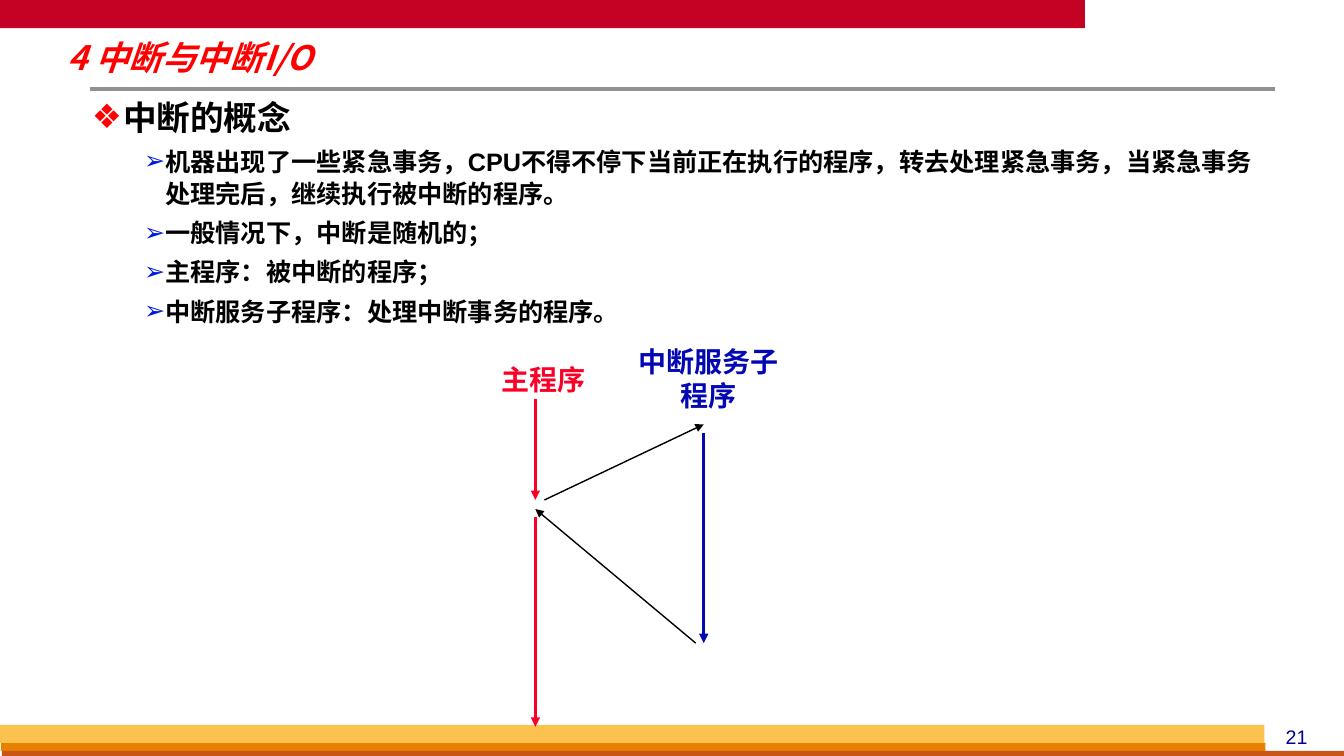
from dataclasses import dataclass

import lxml.etree
import pptx
import pptx.dml.color
import pptx.enum.lang
import pptx.enum.shapes
import pptx.enum.text
import pptx.oxml.ns
import pptx.util

Inches = pptx.util.Inches
Pt = pptx.util.Pt
CENTER = pptx.enum.text.PP_ALIGN.CENTER
LEFT = pptx.enum.text.PP_ALIGN.LEFT

RED, BLUE, BLACK = "FC0128", "0408B2", "000000"
MAIN_X, SERVICE_X = 5.31, 6.98


@dataclass
class Bar:
    left: float
    top: float
    width: float
    height: float
    color: str


@dataclass
class Line:
    start: tuple[float, float]
    end: tuple[float, float]
    color: str
    weight: float
    arrow: bool = True


@dataclass
class Label:
    text: str
    left: float
    top: float
    width: float
    height: float
    size: float
    color: str
    bold: bool = True


@dataclass
class BulletStyle:
    mark: str
    color: str
    margin: float
    hanging: float
    size: float


BARS = [
    Bar(0, 0, 10.76, 0.28, "C30224"),
    Bar(0.01, 7.37, 12.54, 0.08, "E88000"),
    Bar(0.02, 7.45, 13.33, 0.08, "C95616"),
    Bar(0, 7.19, 12.54, 0.18, "FCC24F"),
]
TITLE_RULE = Line((0.89, 0.88), (12.65, 0.88), "919191", 3, arrow=False)
FLOW_ARROWS = [
    Line((MAIN_X, 3.96), (MAIN_X, 4.96), RED, 2.25),
    Line((5.4, 4.96), (SERVICE_X, 4.21), BLACK, 1),
    Line((SERVICE_X, 4.3), (SERVICE_X, 6.38), BLUE, 2.25),
    Line((6.9, 6.38), (MAIN_X, 5.05), BLACK, 1),
    Line((MAIN_X, 5.13), (MAIN_X, 7.21), RED, 2.25),
]
LABELS = [
    Label("21", 12.44, 7.14, 0.84, 0.33, 14, "000099", bold=False),
    Label("主程序", 4.56, 3.55, 1.67, 0.43, 20, RED),
    Label("中断服务子程序", 6.19, 3.37, 1.67, 0.77, 20, BLUE),
]
BULLET_STYLES = [
    BulletStyle("❖", "FF0000", 0.31, 0.31, 24),
    BulletStyle("➢", "001ADC", 0.73, 0.21, 18),
]
CONCEPTS = [
    (0, "中断的概念"),
    (1, "机器出现了一些紧急事务，CPU不得不停下当前正在执行的程序，转去处理紧急事务，"
        "当紧急事务处理完后，继续执行被中断的程序。"),
    (1, "一般情况下，中断是随机的；"),
    (1, "主程序：被中断的程序；"),
    (1, "中断服务子程序：处理中断事务的程序。"),
]


def rgb(color: str) -> pptx.dml.color.RGBColor:
    return pptx.dml.color.RGBColor.from_string(color)


def add_element(parent, tag: str, **attributes: str):
    return lxml.etree.SubElement(parent, pptx.oxml.ns.qn(tag), attributes)


def place(shape, left: float, top: float, width: float, height: float) -> None:
    shape.left, shape.top = Inches(left), Inches(top)
    shape.width, shape.height = Inches(width), Inches(height)


def format_runs(paragraph, size: float, color: str, bold: bool = True,
                italic: bool = False, name: str = "Arial") -> None:
    for run in paragraph.runs:
        font = run.font
        font.name, font.size, font.bold, font.italic = name, Pt(size), bold, italic
        font.color.rgb = rgb(color)
        font.language_id = pptx.enum.lang.MSO_LANGUAGE_ID.SIMPLIFIED_CHINESE


def prepare_placeholder(shape, anchor) -> None:
    frame = shape.text_frame
    frame.margin_left = frame.margin_right = Inches(0.07)
    frame.margin_top = frame.margin_bottom = Inches(0.03)
    frame.word_wrap = True
    frame.auto_size = pptx.enum.text.MSO_AUTO_SIZE.NONE
    frame.vertical_anchor = anchor


def add_bar(slide, bar: Bar) -> None:
    shape = slide.shapes.add_shape(
        pptx.enum.shapes.MSO_SHAPE.RECTANGLE, Inches(bar.left), Inches(bar.top),
        Inches(bar.width), Inches(bar.height))
    shape.shadow.inherit = False
    shape.fill.solid()
    shape.fill.fore_color.rgb = rgb(bar.color)
    shape.line.fill.background()


def add_line(slide, line: Line) -> None:
    connector = slide.shapes.add_connector(
        pptx.enum.shapes.MSO_CONNECTOR.STRAIGHT,
        *(Inches(value) for value in line.start + line.end))
    connector.line.color.rgb = rgb(line.color)
    connector.line.width = Pt(line.weight)
    if line.arrow:
        add_element(connector.line._get_or_add_ln(), "a:tailEnd", type="triangle")
    add_element(connector._element.spPr, "a:effectLst")


def add_label(slide, label: Label) -> None:
    shape = slide.shapes.add_textbox(
        Inches(label.left), Inches(label.top), Inches(label.width), Inches(label.height))
    shape.text_frame.word_wrap = True
    shape.text_frame.text = label.text
    paragraph = shape.text_frame.paragraphs[0]
    paragraph.alignment = CENTER
    format_runs(paragraph, label.size, label.color, label.bold)


def fill_title(title) -> None:
    place(title, 0.6, 0.39, 5.75, 0.41)
    prepare_placeholder(title, pptx.enum.text.MSO_ANCHOR.MIDDLE)
    title.text_frame.text = "4 中断与中断I/O"
    paragraph = title.text_frame.paragraphs[0]
    paragraph.alignment = LEFT
    paragraph.line_spacing = 0.87
    format_runs(paragraph, 24, "FF0000", italic=True, name="Noto Sans CJK SC")


def fill_body(body) -> None:
    place(body, 0.84, 0.91, 11.81, 2.43)
    prepare_placeholder(body, pptx.enum.text.MSO_ANCHOR.TOP)
    body.text_frame.text = "\n".join(text for _, text in CONCEPTS)
    for paragraph, (level, _) in zip(body.text_frame.paragraphs, CONCEPTS):
        style = BULLET_STYLES[level]
        paragraph.level = level
        paragraph.line_spacing = 1.05
        paragraph.space_before = Pt(0.3 * style.size)
        properties = paragraph._p.get_or_add_pPr()
        properties.set("marL", str(Inches(style.margin)))
        properties.set("indent", str(-Inches(style.hanging)))
        bullet_color = add_element(properties, "a:buClr")
        add_element(bullet_color, "a:srgbClr", val=style.color)
        add_element(properties, "a:buChar", char=style.mark)
        format_runs(paragraph, style.size, BLACK)


def main() -> None:
    presentation = pptx.Presentation()
    presentation.slide_width, presentation.slide_height = Inches(13.33), Inches(7.5)
    slide = presentation.slides.add_slide(presentation.slide_layouts[1])
    for bar in BARS:
        add_bar(slide, bar)
    fill_title(slide.shapes.title)
    fill_body(slide.placeholders[1])
    for line in [TITLE_RULE, *FLOW_ARROWS]:
        add_line(slide, line)
    for label in LABELS:
        add_label(slide, label)
    presentation.save("out.pptx")


if __name__ == "__main__":
    main()
